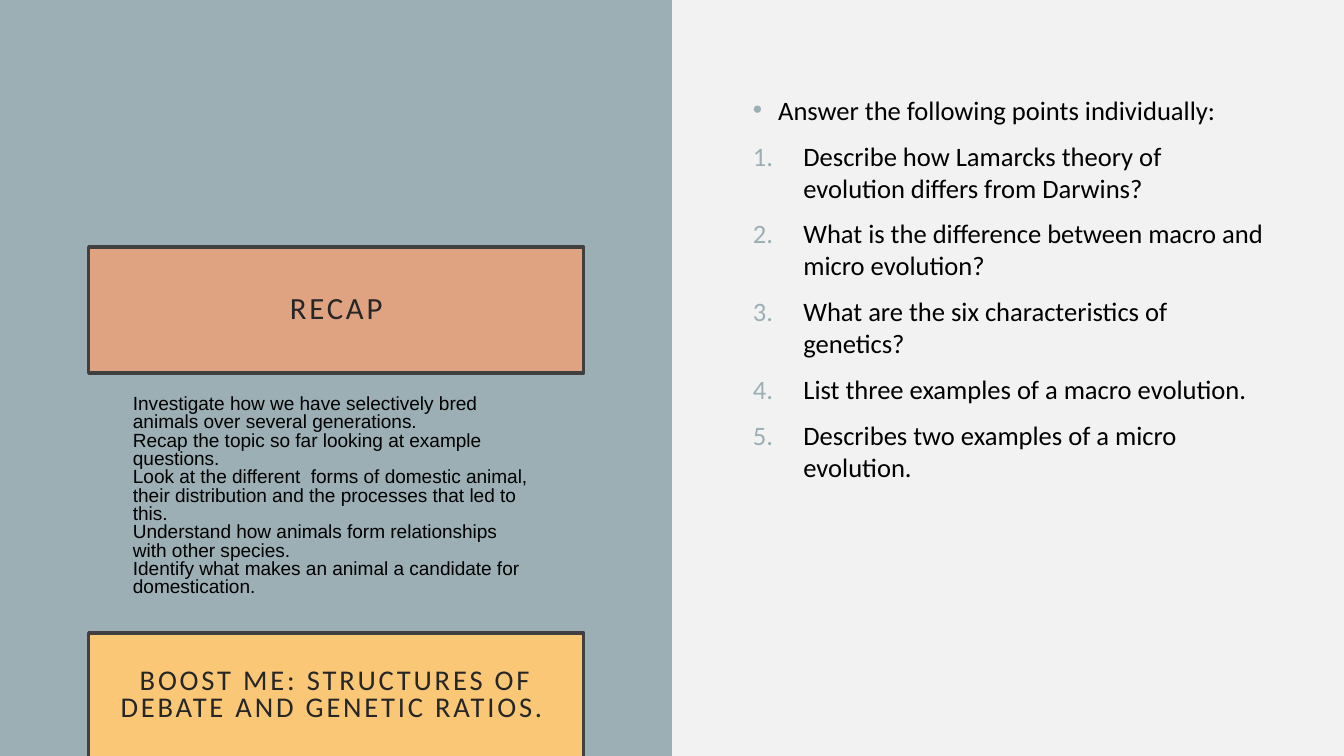
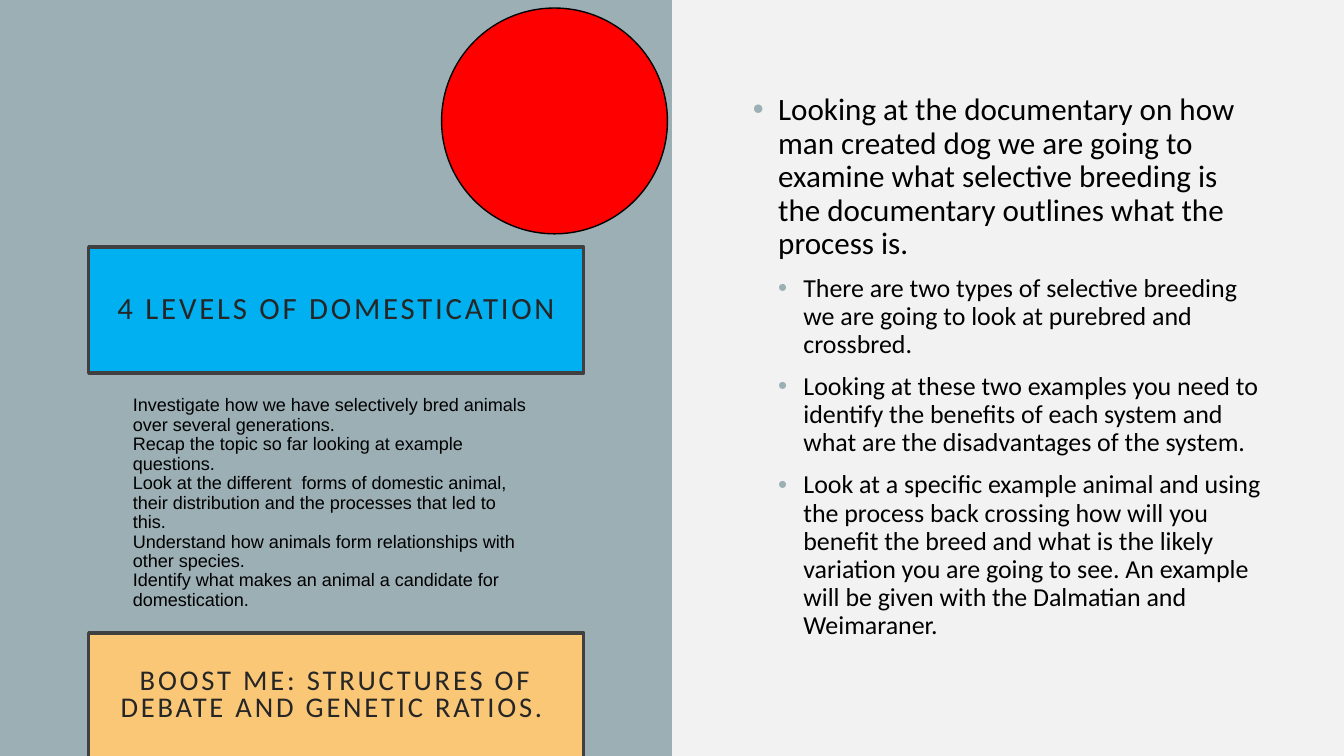
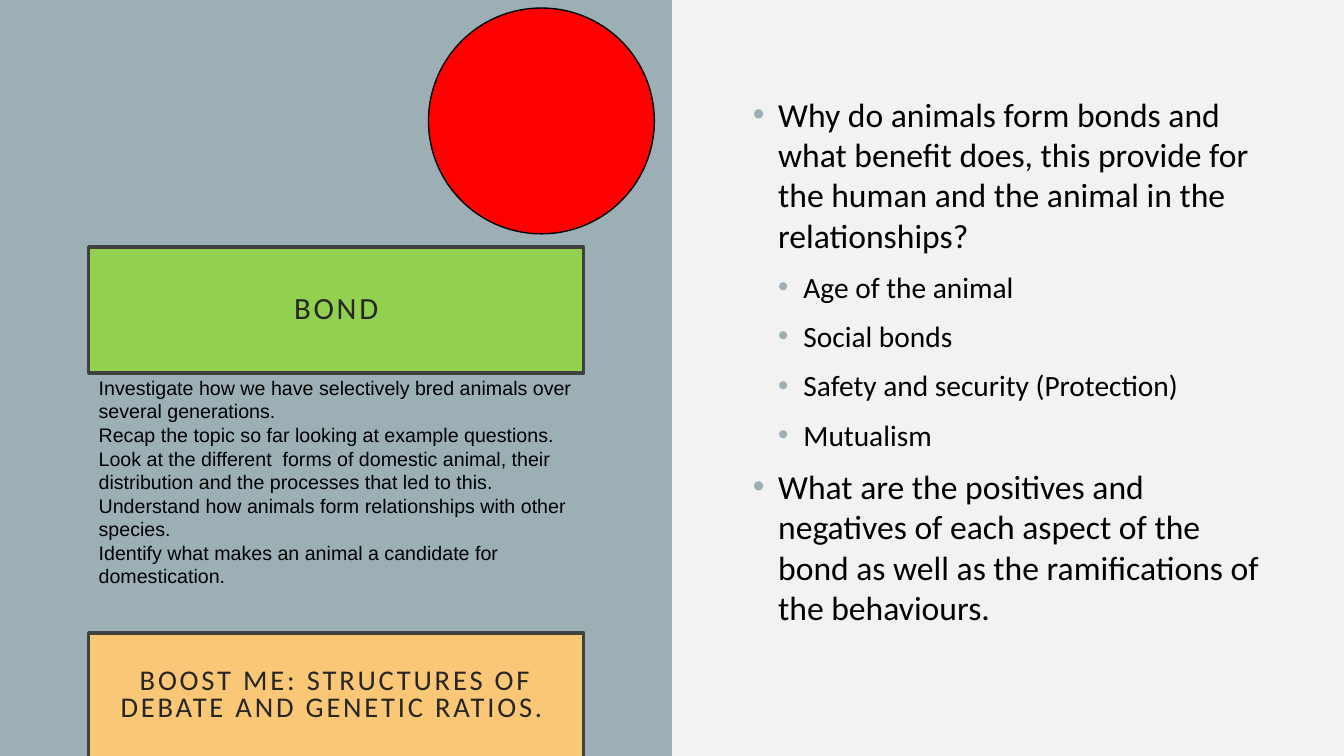
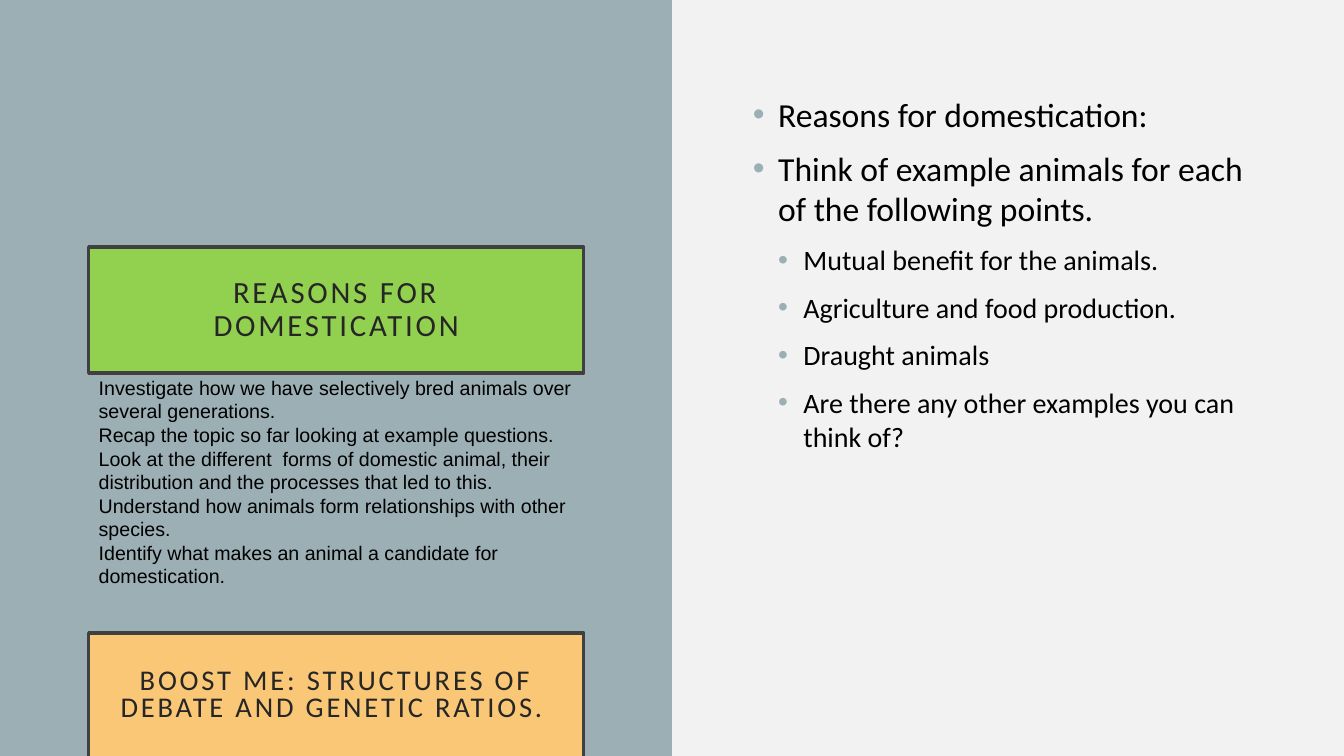
from dataclasses import dataclass

from lxml import etree
from pptx import Presentation
from pptx.dml.color import RGBColor
from pptx.enum.shapes import MSO_SHAPE
from pptx.enum.text import MSO_ANCHOR, PP_ALIGN
from pptx.oxml.ns import qn
from pptx.util import Inches, Pt

RECTANGLE, ELLIPSE = MSO_SHAPE.RECTANGLE, MSO_SHAPE.OVAL
TOP, MIDDLE = MSO_ANCHOR.TOP, MSO_ANCHOR.MIDDLE
LEFT, CENTER = PP_ALIGN.LEFT, PP_ALIGN.CENTER


@dataclass(frozen=True)
class Theme:
    background: str = "F2F2F2"
    panel: str = "9BAFB5"
    frame: str = "404040"
    heading: str = "262626"
    text: str = "000000"
    boost: str = "FAC777"
    salmon: str = "E0A382"
    blue: str = "00B0F0"
    green: str = "92D050"
    red: str = "FF0000"
    main_font: str = "Calibri"
    objective_font: str = "Arial"
    title_size: float = 22
    boost_size: float = 20.4
    letter_spacing: float = 2
    paragraph_gap: float = 10


THEME = Theme()

# Boxes: left, top, width, height in inches
SLIDE_WIDTH, SLIDE_HEIGHT = 13.33, 7.5
PANEL_BOX = (0, 0, SLIDE_WIDTH / 2, SLIDE_HEIGHT)
TITLE_BOX = (0.88, 2.45, 4.91, 1.25)
BOOST_BOX = (0.88, 6.28, 4.91, 1.25)
BODY_BOX = (7.37, 0.88, 5.27, 5.74)
NARROW_BOX = (1.22, 3.88, 4.15, 2.4)
WIDE_BOX = (0.88, 3.68, 4.91, 2.46)
CIRCLE_TOP, CIRCLE_SIZE = 0.08, 2.24

BOOST_TEXT = "BOOST ME: STRUCTURES OF DEBATE AND GENETIC RATIOS. "
OBJECTIVES = [
    "Investigate how we have selectively bred animals over several generations.",
    "Recap the topic so far looking at example questions.",
    "Look at the different  forms of domestic animal, their distribution and "
    "the processes that led to this.",
    "Understand how animals form relationships with other species.",
    "Identify what makes an animal a candidate for domestication.",
]

# Body items: kind ("point", "sub" or "number") and text
SLIDES = [
    dict(
        title="RECAP", color=THEME.salmon,
        objectives=dict(box=NARROW_BOX, size=13.6, spacing=0.8),
        sizes=dict(point=19, number=19), spacing=1.0,
        body=[
            ("point", "Answer the following points individually:"),
            ("number", "Describe how Lamarcks theory of evolution differs from Darwins?"),
            ("number", "What is the difference between macro and micro evolution?"),
            ("number", "What are the six characteristics of genetics?"),
            ("number", "List three examples of a macro evolution."),
            ("number", "Describes two examples of a micro evolution."),
        ],
    ),
    dict(
        title="4 LEVELS OF DOMESTICATION", color=THEME.blue, circle_left=4.38,
        objectives=dict(box=NARROW_BOX, size=12.9, spacing=0.9),
        sizes=dict(point=22.2, sub=18.5), spacing=0.9,
        body=[
            ("point", "Looking at the documentary on how man created dog we are going to "
                      "examine what selective breeding is the documentary outlines what "
                      "the process is."),
            ("sub", "There are two types of selective breeding we are going to look at "
                    "purebred and crossbred."),
            ("sub", "Looking at these two examples you need to identify the benefits of "
                    "each system and what are the disadvantages of the system."),
            ("sub", "Look at a specific example animal and using the process back crossing "
                    "how will you benefit the breed and what is the likely variation you "
                    "are going to see. An example will be given with the Dalmatian and "
                    "Weimaraner."),
        ],
    ),
    dict(
        title="BOND", color=THEME.green, circle_left=4.25,
        objectives=dict(box=WIDE_BOX, size=14, spacing=1.0),
        sizes=dict(point=24, sub=21), spacing=1.0,
        body=[
            ("point", "Why do animals form bonds and what benefit does, this provide for "
                      "the human and the animal in the relationships?"),
            ("sub", "Age of the animal"),
            ("sub", "Social bonds"),
            ("sub", "Safety and security (Protection)"),
            ("sub", "Mutualism"),
            ("point", "What are the positives and negatives of each aspect of the bond as "
                      "well as the ramifications of the behaviours."),
        ],
    ),
    dict(
        title="REASONS FOR DOMESTICATION", color=THEME.green,
        objectives=dict(box=WIDE_BOX, size=14, spacing=1.0),
        sizes=dict(point=24, sub=20), spacing=1.0,
        body=[
            ("point", "Reasons for domestication:"),
            ("point", "Think of example animals for each of the following points."),
            ("sub", "Mutual benefit for the animals."),
            ("sub", "Agriculture and food production."),
            ("sub", "Draught animals"),
            ("sub", "Are there any other examples you can think of?"),
        ],
    ),
]

# Left margin and hanging indent of each kind of item, in inches
INDENTS = {"point": (0.25, 0.25), "sub": (0.5, 0.25), "number": (0.5, 0.5)}


def inches(box):
    return [Inches(value) for value in box]


def add_block(slide, preset, box, fill, line=None, line_width=0):
    shape = slide.shapes.add_shape(preset, *inches(box))
    shape.shadow.inherit = False
    shape.fill.solid()
    shape.fill.fore_color.rgb = RGBColor.from_string(fill)
    if line:
        shape.line.color.rgb = RGBColor.from_string(line)
        shape.line.width = Pt(line_width)
    else:
        shape.line.fill.background()
    return shape


def style_paragraph(paragraph, font_name, size, color, spacing, alignment=LEFT):
    paragraph.alignment = alignment
    paragraph.line_spacing = spacing
    paragraph.font.name = font_name
    paragraph.font.size = Pt(size)
    paragraph.font.color.rgb = RGBColor.from_string(color)


def add_marker(paragraph, kind):
    """Give the paragraph a coloured bullet or number with a hanging indent."""
    margin, hanging = INDENTS[kind]
    properties = paragraph._p.get_or_add_pPr()
    properties.set("marL", str(Inches(margin)))
    properties.set("indent", str(-Inches(hanging)))
    color = etree.SubElement(properties, qn("a:buClr"))
    etree.SubElement(color, qn("a:srgbClr"), val=THEME.panel)
    if kind == "number":
        etree.SubElement(properties, qn("a:buFont"), typeface=THEME.main_font)
        etree.SubElement(properties, qn("a:buAutoNum"), type="arabicPeriod")
    else:
        etree.SubElement(properties, qn("a:buFont"), typeface=THEME.objective_font)
        etree.SubElement(properties, qn("a:buChar"), char="•")


def add_paragraphs(slide, box, texts):
    """Add a wrapping text box and yield one paragraph for each text."""
    frame = slide.shapes.add_textbox(*inches(box)).text_frame
    frame.word_wrap = True
    frame.vertical_anchor = TOP
    for index, text in enumerate(texts):
        paragraph = frame.add_paragraph() if index else frame.paragraphs[0]
        paragraph.text = text
        yield paragraph


def add_banner(slide, box, text, fill, size, spacing):
    """Framed rectangle with letter-spaced capitals."""
    shape = add_block(slide, RECTANGLE, box, fill, THEME.frame, 2.5)
    frame = shape.text_frame
    frame.word_wrap = True
    frame.vertical_anchor = MIDDLE
    frame.margin_left = frame.margin_right = Inches(0.2)
    frame.margin_top = frame.margin_bottom = Inches(0.2)
    paragraph = frame.paragraphs[0]
    paragraph.text = text
    style_paragraph(paragraph, THEME.main_font, size, THEME.heading, spacing, CENTER)
    run_properties = paragraph.runs[0]._r.get_or_add_rPr()
    run_properties.set("spc", str(round(THEME.letter_spacing * 100)))


def add_objectives(slide, box, size, spacing):
    for paragraph in add_paragraphs(slide, box, OBJECTIVES):
        style_paragraph(paragraph, THEME.objective_font, size, THEME.text, spacing)


def add_body(slide, box, items, sizes, spacing):
    paragraphs = add_paragraphs(slide, box, [text for _, text in items])
    for index, (paragraph, (kind, _)) in enumerate(zip(paragraphs, items)):
        add_marker(paragraph, kind)
        paragraph.level = 1 if kind == "sub" else 0
        if index:
            paragraph.space_before = Pt(THEME.paragraph_gap)
        style_paragraph(paragraph, THEME.main_font, sizes[kind], THEME.text, spacing)


def add_lesson_slide(presentation, content):
    slide = presentation.slides.add_slide(presentation.slide_layouts[6])

    # Left panel: title, objectives and boost banner
    add_block(slide, RECTANGLE, PANEL_BOX, THEME.panel)
    add_banner(slide, TITLE_BOX, content["title"], content["color"], THEME.title_size, 0.9)
    add_objectives(slide, **content["objectives"])
    add_banner(slide, BOOST_BOX, BOOST_TEXT, THEME.boost, THEME.boost_size, 0.8)
    if "circle_left" in content:
        circle_box = (content["circle_left"], CIRCLE_TOP, CIRCLE_SIZE, CIRCLE_SIZE)
        add_block(slide, ELLIPSE, circle_box, THEME.red, THEME.text, 1)

    # Right side: points to discuss
    add_body(slide, BODY_BOX, content["body"], content["sizes"], content["spacing"])


def main():
    presentation = Presentation()
    presentation.slide_width = Inches(SLIDE_WIDTH)
    presentation.slide_height = Inches(SLIDE_HEIGHT)
    background = presentation.slide_master.background.fill
    background.solid()
    background.fore_color.rgb = RGBColor.from_string(THEME.background)
    for content in SLIDES:
        add_lesson_slide(presentation, content)
    presentation.save("out.pptx")


if __name__ == "__main__":
    main()
